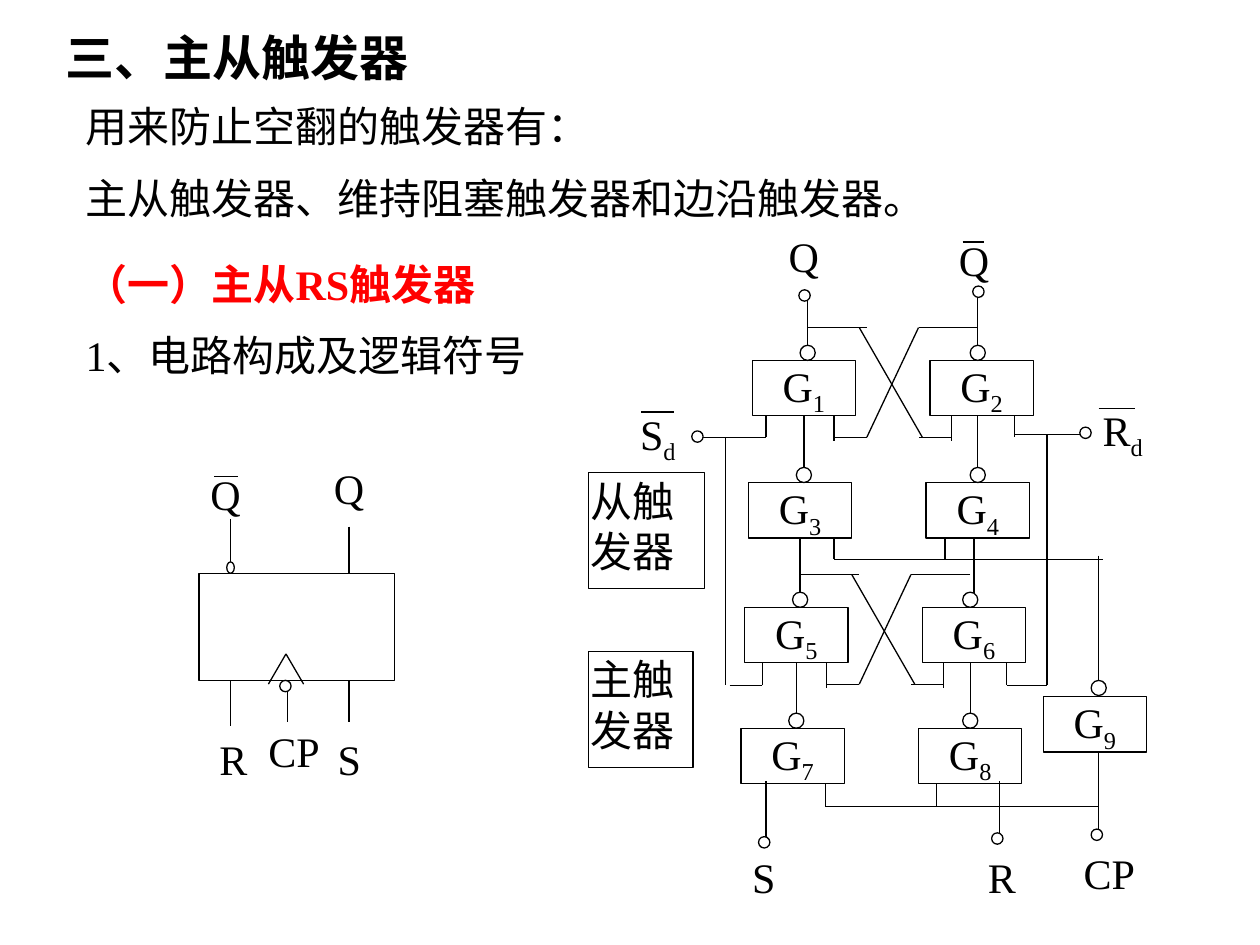
from lxml import etree
from pptx import Presentation
from pptx.dml.color import RGBColor
from pptx.enum.shapes import MSO_CONNECTOR, MSO_SHAPE
from pptx.enum.text import MSO_ANCHOR, MSO_AUTO_SIZE, PP_ALIGN
from pptx.oxml.ns import qn
from pptx.util import Inches, Pt

RECT, OVAL = MSO_SHAPE.RECTANGLE, MSO_SHAPE.OVAL
WIRE = MSO_CONNECTOR.STRAIGHT
LEFT, MID = PP_ALIGN.LEFT, PP_ALIGN.CENTER
TOP, FIXED = MSO_ANCHOR.TOP, MSO_AUTO_SIZE.NONE
FONT = "Times New Roman"
COLORS = {"ink": "000000", "paper": "FFFFFF", "red": "FF0000"}


def write(frame, text, size=24, color="ink", bold=False, align=LEFT, gap=0):
    para = frame.paragraphs[0] if not frame.text else frame.add_paragraph()
    para.alignment = align
    para.space_before = Pt(gap)
    for level, part in enumerate(text.split("_")):
        run = para.add_run()
        run.text = part
        run.font.name = FONT
        run.font.size = Pt(size)
        run.font.bold = bold
        run.font.color.rgb = RGBColor.from_string(COLORS[color])
        if level:
            run._r.get_or_add_rPr().set("baseline", "-25000")
    return para


def draw(kind, x, y, w, h, line=True, pad=(0, 0), wrap=True):
    shape = slide.shapes.add_shape(kind, Inches(x), Inches(y), Inches(w), Inches(h))
    shape.shadow.inherit = False
    shape.fill.solid()
    shape.fill.fore_color.rgb = RGBColor.from_string(COLORS["paper"])
    if line:
        shape.line.color.rgb = RGBColor.from_string(COLORS["ink"])
        shape.line.width = Pt(0.75)
    else:
        shape.line.fill.background()
    frame = shape.text_frame
    frame.word_wrap = wrap
    frame.vertical_anchor = TOP
    frame.margin_left = frame.margin_right = Inches(pad[0])
    frame.margin_top = frame.margin_bottom = Inches(pad[1])
    return frame


prs = Presentation()
prs.slide_width, prs.slide_height = Inches(10), Inches(7.5)
slide = prs.slides.add_slide(prs.slide_layouts[3])

title, intro, topic = list(slide.placeholders)[:3]
places = [
    (title, 0.42, 0.17, 9.25, 0.57),
    (intro, 0.58, 0.75, 9, 1.1),
    (topic, 0.58, 2, 5.08, 1.1),
]
for holder, x, y, w, h in places:
    holder.left, holder.top = Inches(x), Inches(y)
    holder.width, holder.height = Inches(w), Inches(h)
    frame = holder.text_frame
    frame.word_wrap = True
    frame.auto_size = FIXED
    frame.vertical_anchor = TOP

write(title.text_frame, "三、主从触发器", size=28, bold=True)
items = [
    write(intro.text_frame, "用来防止空翻的触发器有："),
    write(intro.text_frame, "主从触发器、维持阻塞触发器和边沿触发器。", gap=12),
    write(topic.text_frame, "（一）主从RS触发器", color="red", bold=True),
    write(topic.text_frame, "1、电路构成及逻辑符号", gap=12),
]
for para in items:
    props = para._p.get_or_add_pPr()
    props.set("marL", "0")
    props.set("indent", "0")
    etree.SubElement(props, qn("a:buNone"))

labels = [
    ("Q", 6.26, 1.83), ("Q", 7.61, 1.86), ("S_d", 5.08, 3.24), ("R_d", 8.75, 3.21),
    ("S", 5.97, 6.76), ("R", 7.84, 6.76), ("CP", 8.6, 6.73),
    ("Q", 1.67, 3.72), ("Q", 2.65, 3.67),
    ("R", 1.74, 5.82), ("CP", 2.13, 5.76), ("S", 2.68, 5.82),
]
for text, x, y in labels:
    width = 0.41 if len(text) > 1 else 0.32
    write(draw(RECT, x, y, width, 0.41, line=False, wrap=False), text)

gates, dots = [], []
for row, y in enumerate([2.86, 3.83, 4.82, 5.78]):
    x = 5.97 - 0.03 * row
    gates += [(x, y), (x + 1.41, y)]
    dots += [(x + 0.38, y - 0.12), (7.7 - 0.06 * (row // 2), y - 0.12)]
gates.append((8.28, 5.53))
dots.append((8.66, 5.4))
for num, (x, y) in enumerate(gates, 1):
    write(draw(RECT, x, y, 0.82, 0.44, pad=(0.1, 0)), f"G_{num}", align=MID)

for lead, y, w in [("从触", 3.75, 0.92), ("主触", 5.17, 0.83)]:
    frame = draw(RECT, 4.67, y, w, 0.92, pad=(0.02, 0.02))
    write(frame, lead)
    write(frame, "发器")

draw(RECT, 1.58, 4.55, 1.55, 0.85)

latch = [
    (6.38, 3.3, 6.38, 3.77), (7.76, 3.3, 7.76, 3.77),
    (6.62, 3.3, 6.62, 3.5), (7.55, 3.3, 7.55, 3.5),
    (6.62, 3.47, 6.88, 3.47), (7.55, 3.47, 7.29, 3.47),
    (6.41, 2.6, 6.88, 2.6), (7.76, 2.6, 7.29, 2.6),
    (7.29, 2.6, 6.88, 3.47), (6.82, 2.6, 7.32, 3.47),
]
wires = latch + [(a - 0.06, b + 1.96, c - 0.06, d + 1.96) for a, b, c, d in latch]
bars = [
    (7.64, 1.92, 7.81, 1.92), (5.09, 3.27, 5.35, 3.27),
    (8.72, 3.24, 9.01, 3.24), (1.7, 3.78, 1.89, 3.78),
]
inputs = [
    (6.41, 2.74, 6.41, 2.3), (7.76, 2.74, 7.76, 2.3),
    (6.35, 4.27, 6.35, 4.73), (7.73, 4.27, 7.73, 4.73),
    (6.08, 3.3, 6.08, 3.47), (6.08, 3.47, 5.53, 3.47), (5.76, 3.47, 5.76, 5.44),
    (5.79, 5.44, 6.05, 5.44), (6.05, 5.44, 6.05, 5.26),
    (8.05, 3.3, 8.05, 3.47), (8.05, 3.45, 8.6, 3.45), (8.31, 3.45, 8.31, 5.44),
    (8.31, 5.44, 7.99, 5.44), (7.99, 5.44, 7.99, 5.26),
    (6.08, 6.2, 6.08, 6.67), (7.93, 6.2, 7.93, 6.67),
]
clock = [
    (6.62, 4.27, 6.62, 4.44), (7.5, 4.27, 7.5, 4.44), (6.62, 4.44, 8.75, 4.44),
    (6.55, 6.22, 6.55, 6.4), (7.43, 6.22, 7.43, 6.4), (6.55, 6.4, 8.72, 6.4),
    (8.72, 4.41, 8.72, 5.44), (8.72, 5.97, 8.72, 6.61),
]
symbol = [
    (1.83, 4.12, 1.83, 4.49), (2.77, 4.18, 2.77, 4.55),
    (1.83, 5.4, 1.83, 5.76), (2.28, 5.4, 2.28, 5.73), (2.77, 5.4, 2.77, 5.73),
    (2.27, 5.19, 2.13, 5.43), (2.27, 5.19, 2.41, 5.43),
]
for ends in wires + bars + inputs + clock + symbol:
    wire = slide.shapes.add_connector(WIRE, *[Inches(end) for end in ends])
    wire.line.color.rgb = RGBColor.from_string(COLORS["ink"])
    wire.line.width = Pt(0.75)
    etree.SubElement(wire._element.spPr, qn("a:effectLst"))

for x, y in dots:
    draw(OVAL, x, y, 0.12, 0.12)
pins = [
    (6.34, 2.3), (7.72, 2.27), (5.49, 3.42), (8.57, 3.39),
    (6.02, 6.64), (7.87, 6.61), (8.66, 6.58), (2.22, 5.4),
]
for x, y in pins:
    draw(OVAL, x, y, 0.09, 0.09)
draw(OVAL, 1.8, 4.46, 0.06, 0.09)

prs.save("out.pptx")
